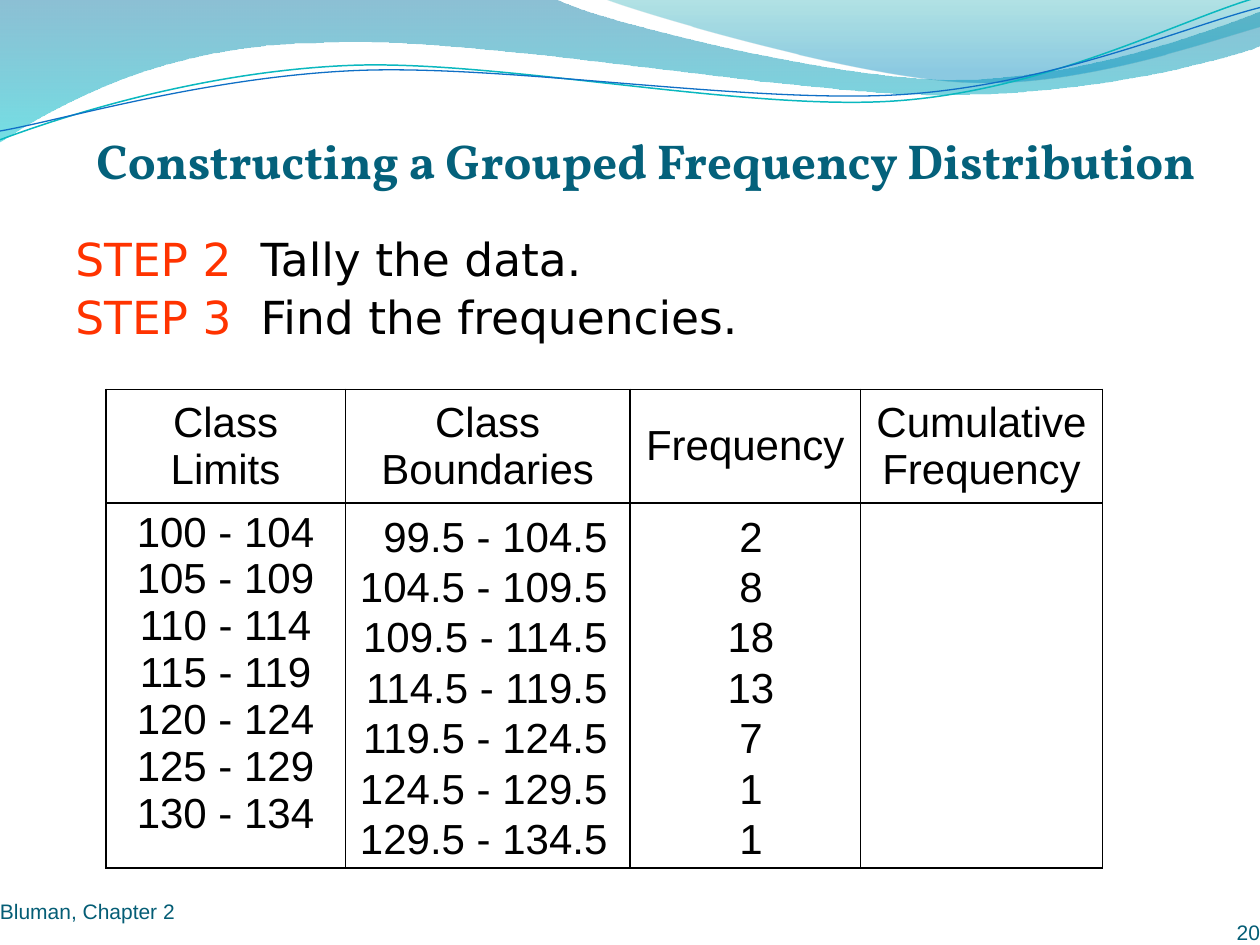
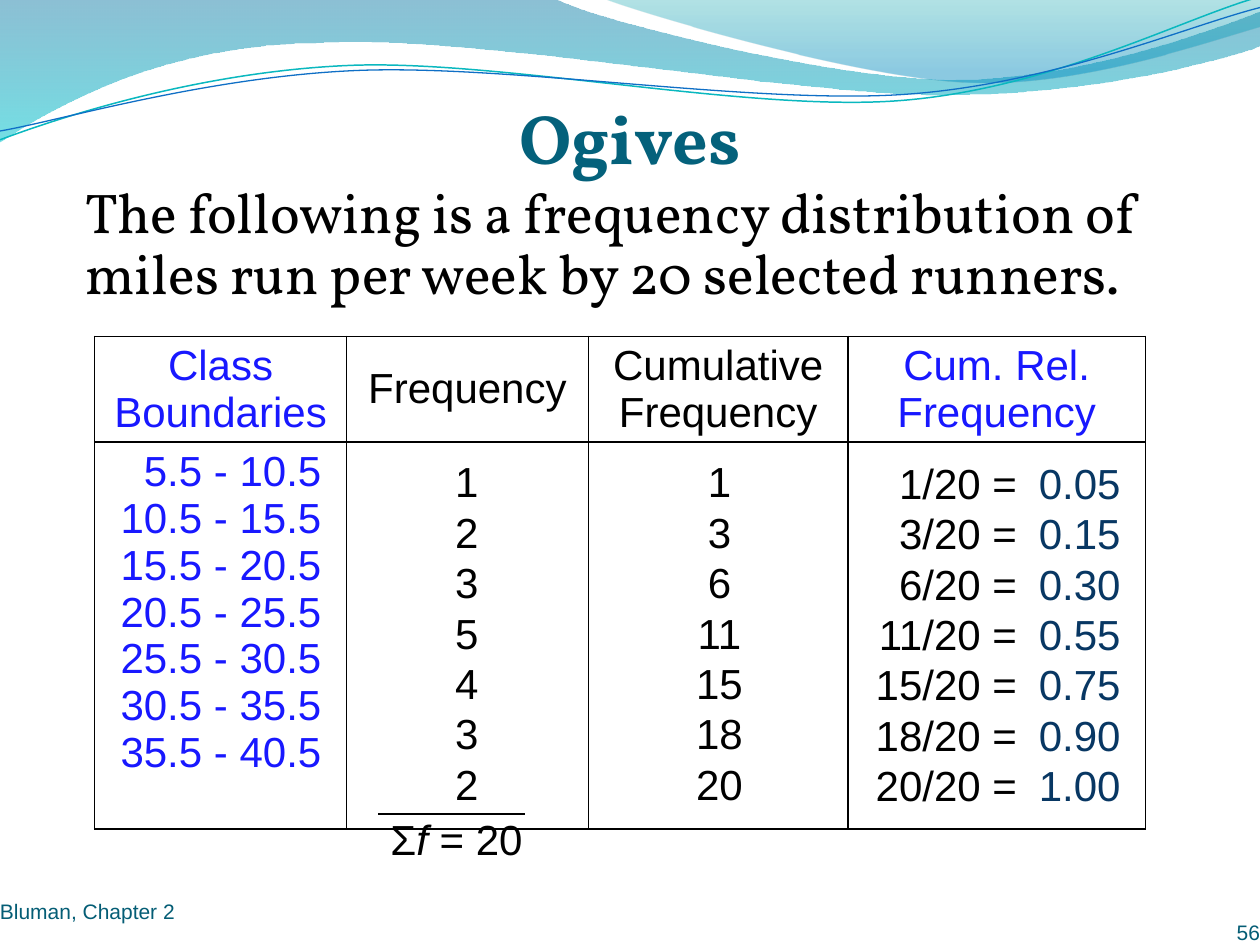
from lxml import etree
from pptx import Presentation
from pptx.dml.color import RGBColor
from pptx.enum import shapes, text
from pptx.oxml import ns
from pptx.util import Inches, Pt

COLOURS = {
    "title": "04617B", "footer": "045D75", "ink": "000000", "step": "FF3300",
    "blue": "1818FF", "navy": "083763",
    "wave top": "0074A1", "wave end": "00C6CF",
    "crest top": "00A1A9", "crest end": "008BBF",
    "teal line": "0AB8BF", "blue line": "0F6FC6",
}
SERIF, SANS, WIDE = "Vollkorn", "Arial", "DejaVu Sans"
LEFT, CENTER, RIGHT = text.PP_ALIGN.LEFT, text.PP_ALIGN.CENTER, text.PP_ALIGN.RIGHT
TOP, MIDDLE, BOTTOM = text.MSO_ANCHOR.TOP, text.MSO_ANCHOR.MIDDLE, text.MSO_ANCHOR.BOTTOM

# Header waves: a list of points; two numbers make a line, six a curve
BANDS = [
    ([(0, -0.01), (4.4, -0.01), (4.76, 0.17, 6.64, 0.63, 7.58, 0.63),
      (8.53, 0.63, 9.58, 0.26, 10, 0.09), (10.01, 0.36),
      (9.83, 0.44, 8.7, 0.76, 7.46, 0.75), (6.22, 0.75, 3.82, 0.28, 2.57, 0.34),
      (1.29, 0.35, 0.46, 0.83, -0.01, 1.13)],
     [(0, "wave top", 45), (1, "wave end", 55)]),
    ([(4.79, -0.01), (5.09, 0.11, 6.82, 0.62, 7.69, 0.65),
      (8.56, 0.69, 9.61, 0.32, 10, 0.21), (10, 0)],
     [(0, "crest top", 30), (0.8, "crest end", 45)]),
]
RIPPLES = [
    ([(0, 1.11), (0.48, 0.93, 1.58, 0.57, 2.77, 0.52),
      (3.95, 0.47, 5.93, 0.89, 7.13, 0.8), (8.33, 0.71, 9.38, 0.15, 9.98, -0.02)],
     "teal line", 0.85),
    ([(0, 1.04), (0.47, 0.96, 1.64, 0.61, 2.83, 0.56),
      (4.03, 0.51, 5.97, 0.83, 7.17, 0.75), (8.36, 0.67, 9.41, 0.21, 10, 0.06)],
     "blue line", 0.75),
]

# Slide content
FOOTER = "Bluman, Chapter 2"
STEPS = [("STEP 2", "Tally the data."), ("STEP 3", "Find the frequencies.")]
GROUPED = {
    "at": (0.84, 3.09), "columns": [1.9, 2.26, 1.83, 1.92], "rows": [0.9, 2.9],
    "heads": [("Class Limits", "ink"), ("Class Boundaries", "ink"),
              ("Frequency", "ink"), ("Cumulative Frequency", "ink")],
    "classes": [f"{low} - {low + 4}" for low in range(100, 131, 5)],
    "format": dict(align=CENTER),
}
GROUPED_LISTS = [
    ((2.73, 4, 2.19), [f"{low}.5 - {low + 5}.5" for low in range(99, 130, 5)], "ink", RIGHT),
    ((5.67, 4, 0.58), [2, 8, 18, 13, 7, 1, 1], "ink", CENTER),
]

INTRO = "The following is a frequency distribution of miles run per week by 20 selected runners."
MILES = {
    "at": (0.75, 2.67), "columns": [2, 1.92, 2.06, 2.36], "rows": [0.84, 3.07],
    "heads": [("Class Boundaries", "blue"), ("Frequency", "ink"),
              ("Cumulative Frequency", "ink"), ("Cum. Rel. Frequency", "blue")],
    "classes": [f"{low}.5 - {low + 5}.5" for low in range(5, 36, 5)],
    "format": dict(align=RIGHT, colour="blue", inset=0.2),
}
RUNNERS = [1, 2, 3, 5, 4, 3, 2]
CUMULATIVE = [sum(RUNNERS[:count + 1]) for count in range(len(RUNNERS))]
MILES_LISTS = [
    ((3.51, 3.57, 0.39), RUNNERS, "ink", CENTER),
    ((5.42, 3.57, 0.58), CUMULATIVE, "ink", CENTER),
    ((6.83, 3.58, 1.34), [f"{total}/20 =" for total in CUMULATIVE], "ink", RIGHT),
    ((8.14, 3.58, 0.86), [f"{total / 20:.2f}" for total in CUMULATIVE], "navy", CENTER),
]


def rgb(name):
    return RGBColor.from_string(COLOURS[name])


def write(frame, lines, size=24, font=SANS, colour="ink", bold=False, align=LEFT,
          before=0, spacing=None, tab=None):
    """Fill a frame; a line is a text or a list of (text, changes) spans."""
    for index, line in enumerate(lines):
        para = frame.add_paragraph() if index else frame.paragraphs[0]
        para.alignment = align
        if before and index:
            para.space_before = Pt(before)
        if spacing:
            para.line_spacing = spacing
        if tab:
            stops = etree.SubElement(para._p.get_or_add_pPr(), ns.qn("a:tabLst"))
            etree.SubElement(stops, ns.qn("a:tab"), pos=str(Inches(tab)), algn="l")
        for words, changes in line if isinstance(line, list) else [(str(line), {})]:
            span = para.add_run()
            span.text = words
            span.font.size, span.font.name, span.font.bold = Pt(size), font, bold
            span.font.italic = changes.get("italic", False)
            span.font.color.rgb = rgb(changes.get("colour", colour))


def add_text(page, at, lines, anchor=TOP, insets=(0.1, 0.05, 0.1, 0.05), wrap=True, **style):
    box = page.shapes.add_textbox(*map(Inches, at))
    frame = box.text_frame
    frame.word_wrap, frame.vertical_anchor = wrap, anchor
    (frame.margin_left, frame.margin_top,
     frame.margin_right, frame.margin_bottom) = map(Inches, insets)
    write(frame, lines, **style)


def add_outline(page, outline, close):
    """Build an outline from its knots, then bend the curved parts."""
    start, *parts = outline
    knots = [(Inches(part[i]), Inches(part[i + 1]))
             for part in parts for i in range(0, len(part), 2)]
    builder = page.shapes.build_freeform(*map(Inches, start))
    builder.add_line_segments(knots, close=close)
    shape = builder.convert_to_shape()
    shape.shadow.inherit = False
    segments = iter(shape.element.xpath(".//a:lnTo"))
    for part in parts:
        first, *others = [next(segments) for _ in range(len(part) // 2)]
        if others:
            curve = etree.Element(ns.qn("a:cubicBezTo"))
            first.addprevious(curve)
            for segment in (first, *others):
                curve.append(segment[0])
                segment.getparent().remove(segment)
    return shape


def add_waves(page):
    for outline, stops in BANDS:
        band = add_outline(page, outline, True)
        band.line.fill.background()
        band.fill.gradient()
        band.fill.gradient_angle = 270
        for stop, (position, colour, _) in zip(band.fill.gradient_stops, stops):
            stop.position, stop.color.rgb = position, rgb(colour)
        for tint, (_, _, opacity) in zip(band.element.xpath(".//a:gs/a:srgbClr"), stops):
            etree.SubElement(tint, ns.qn("a:alpha"), val=str(opacity * 1000))
    for outline, colour, width in RIPPLES:
        ripple = add_outline(page, outline, False)
        ripple.fill.background()
        ripple.line.color.rgb, ripple.line.width = rgb(colour), Pt(width)


def add_page(deck, title, title_at, title_size, number):
    """Start a page with waves, title and footers."""
    page = deck.slides.add_slide(deck.slide_layouts[6])
    add_waves(page)
    add_text(page, title_at, [title], BOTTOM, (0, 0.05, 0, 0), size=title_size,
             font=SERIF, colour="title", bold=True, align=CENTER)
    for at, words, align in [((0, 6.83, 3.17, 0.5), FOOTER, LEFT),
                             ((7.67, 7, 2.33, 0.5), number, RIGHT)]:
        add_text(page, at, [words], BOTTOM, (0, 0, 0, 0), size=12, colour="footer", align=align)
    return page


def add_borders(cell):
    properties = cell._tc.get_or_add_tcPr()
    for index, side in enumerate(("lnL", "lnR", "lnT", "lnB")):
        line = etree.Element(ns.qn("a:" + side), w=str(Pt(1)))
        fill = etree.SubElement(line, ns.qn("a:solidFill"))
        etree.SubElement(fill, ns.qn("a:srgbClr"), val=COLOURS["ink"])
        properties.insert(index, line)


def add_classes(page, at, columns, rows, heads, classes, format):
    size = sum(columns), sum(rows)
    table = page.shapes.add_table(2, len(columns), *map(Inches, at + size)).table
    table.first_row = table.horz_banding = False
    for column, width in zip(table.columns, columns):
        column.width = Inches(width)
    for row, height in zip(table.rows, rows):
        row.height = Inches(height)
    for cell in table.iter_cells():
        cell.fill.background()
        add_borders(cell)
    for index, (head, colour) in enumerate(heads):
        cell = table.cell(0, index)
        cell.vertical_anchor = MIDDLE
        cell.margin_top = cell.margin_bottom = Inches(0.02)
        write(cell.text_frame, [head], colour=colour, align=CENTER)
    style = dict(format)
    body = table.cell(1, 0)
    body.margin_right = Inches(style.pop("inset", 0.1))
    write(body.text_frame, classes, **style)


def add_lists(page, lists):
    """Lay the value lists over the open table cells."""
    for at, values, colour, align in lists:
        add_text(page, (*at, 2.93), values, wrap=False, colour=colour, align=align)


def main():
    deck = Presentation()
    deck.slide_width, deck.slide_height = Inches(10), Inches(7.5)

    # Grouped frequency distribution
    page = add_page(deck, "Constructing a Grouped Frequency Distribution",
                    (0.5, 0.42, 9.25, 1.08), 28, 20)
    add_text(page, (0.5, 1.83, 9.17, 1.33),
             [[(step + "\t", {"colour": "step"}), (task, {})] for step, task in STEPS],
             size=26, font=WIDE, spacing=0.9, before=5.2, tab=1.47)
    add_classes(page, **GROUPED)
    add_lists(page, GROUPED_LISTS)

    # Ogives
    page = add_page(deck, "Ogives", (0.5, 0.5, 9, 0.92), 40, 56)
    add_classes(page, **MILES)
    add_text(page, (0.58, 1.42, 8.83, 1.08), [INTRO], size=32, font=SERIF, spacing=0.9)
    add_lists(page, MILES_LISTS)
    add_text(page, (3, 6.41, 1.25, 0.51),
             [[("Σ", {}), ("f", {"italic": True}), (f" = {sum(RUNNERS)}", {})]], wrap=False)
    rule = page.shapes.add_connector(shapes.MSO_CONNECTOR.STRAIGHT,
                                     *map(Inches, (3, 6.46, 4.17, 6.46)))
    rule.line.color.rgb, rule.line.width = rgb("ink"), Pt(0.75)
    etree.SubElement(rule.element.spPr, ns.qn("a:effectLst"))

    deck.save("out.pptx")


if __name__ == "__main__":
    main()
